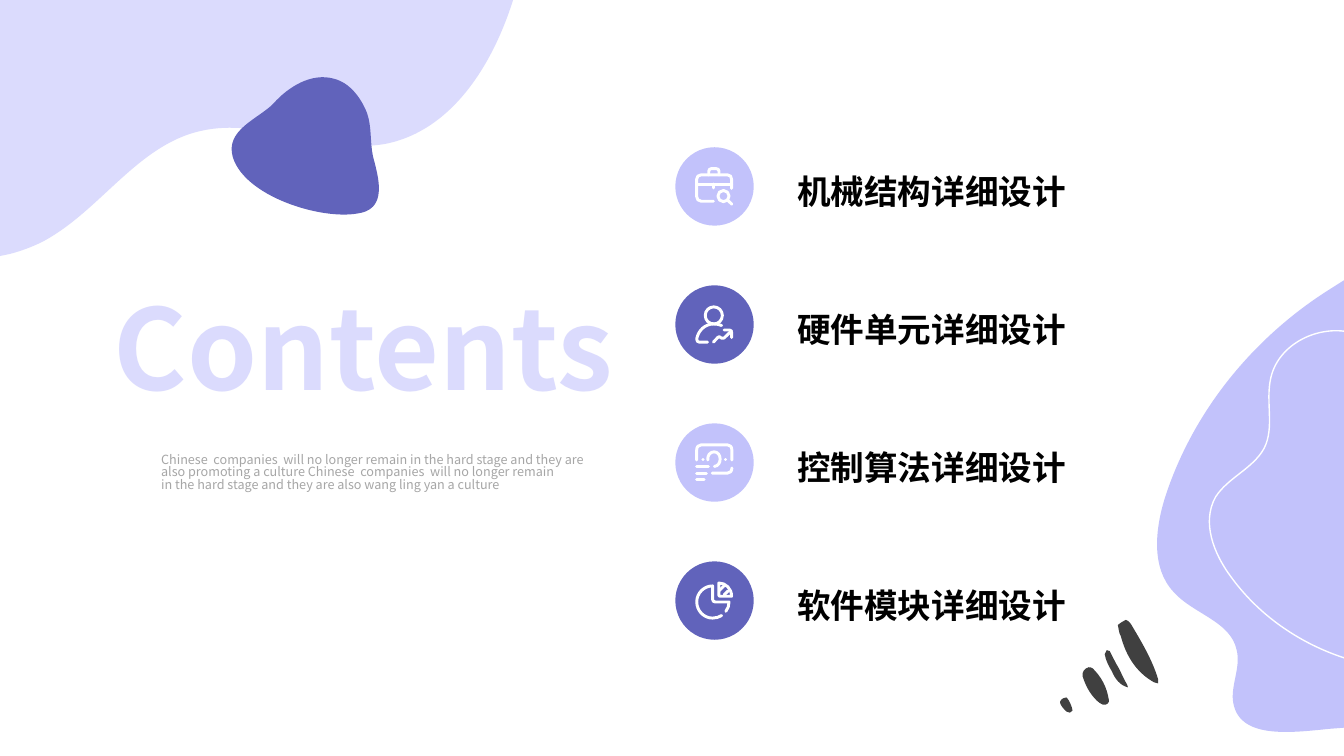
from lxml.etree import Element, SubElement
from pptx import Presentation
from pptx.dml.color import RGBColor
from pptx.enum.shapes import MSO_SHAPE as SHAPE
from pptx.enum.text import MSO_ANCHOR as ANCHOR, MSO_AUTO_SIZE as AUTO, PP_ALIGN as ALIGN
from pptx.oxml.ns import qn
from pptx.util import Pt

FONT = "Noto Sans CJK SC"
PALE, LILAC, VIOLET = "DBDBFD", "C2C2FB", "6163BB"
WHITE, BLACK, GREY, CHARCOAL = "FFFFFF", "000000", "A6A6A6", "404040"

# Outlines in points: M move, L line, C cubic curve, Z close
CORNER_BLOB = """M 0 0 L 366.5 0 L 365.8 2.2 C 350.6 49 321.1 94.3 274.3 103
    C 231.1 110.2 186.5 83.5 143.3 93.6 C 97.9 103.7 71.3 151.2 30.2 172.8
    C 23 176.4 15.1 179.3 7.2 181.4 L 0 182.9 Z"""
PEBBLE = """M 266.4 147.6 C 274.3 139 269.3 123.1 266.4 111.6
    C 264.2 101.5 265.7 90.7 262.1 80.6 C 257.8 69.8 249.8 59 238.3 56.2
    C 222.5 51.8 205.9 61.9 195.1 74.2 C 184.3 85 160.6 92.9 166.3 112.3
    C 175 140.4 229 157 254.9 152.6 C 259.9 151.9 263.5 150.5 266.4 147.6 Z"""
RIGHT_BLOB = """M 960 200.2 L 960 519.8 L 949.7 520.6
    C 921.6 523.4 883.4 528.5 880.6 499.7 C 879.8 488.2 886.3 475.9 883.4 464.4
    C 879.1 443.5 851.8 438.5 838.1 422.6 C 822.2 405.4 825.1 378 832.3 355
    C 851.8 295.2 892.8 244.1 945.4 209.5 Z"""
WAVY_LINE = """M 879.1 411.8 C 918 465.8 992.2 491 1056.2 472.3
    C 1069.9 468.7 1084.3 461.5 1087.9 447.8 C 1091.5 435.6 1084.3 419.8 1093.7 411.1
    C 1098.7 406.1 1106.6 405.4 1112.4 401 C 1130.4 386.6 1097.3 360.7 1092.2 348.5
    C 1087.9 337.7 1085.8 326.2 1087.9 314.6 C 1090.1 298.1 1100.2 280.8 1093 265.7
    C 1086.5 249.1 1066.3 244.1 1049 245.5 C 1031.8 246.2 1014.5 251.3 997.9 248.4
    C 986.4 245.5 976.3 239.8 965.5 237.6 C 941.8 231.8 913.7 245.5 907.9 269.3
    C 903.6 286.6 910.8 305.3 902.9 320.4 C 895 334.8 877 341.3 868.3 355
    C 858.2 373 866.9 395.3 879.1 411.8 Z"""
BRUSH_MARKS = [
    """M 798.5 446.4 C 800.6 445 802.1 443.5 804.2 442.8 C 805 442.8 807.1 444.2 807.8 445.7
    C 815 457.9 823 470.9 827.3 485.3 L 827.3 488.2 L 824.4 487.4
    C 811.4 480.2 804.2 468 800.6 454.3 C 799.2 452.2 799.2 449.3 798.5 446.4 Z""",
    """M 787.7 503.3 C 786.2 502.6 784.8 501.8 783.4 500.4
    C 778.3 495.4 775.4 489.6 773.3 483.1 C 772.6 480.2 774.7 477.4 777.6 476.6
    C 778.3 476.6 779.8 476.6 780.5 477.4 C 787 483.8 790.6 491 792 499.7
    C 792.7 501.8 790.6 504 787.7 503.3 Z""",
    """M 805.7 491 C 799.9 489.6 796.3 484.6 794.2 479.5 C 792 475.9 789.8 471.6 789.1 467.3
    L 790.6 464.4 L 792.7 465.1 C 794.9 469.4 797 473.8 799.2 477.4
    C 801.4 481.7 802.8 485.3 805 488.9 Z""",
    """M 766.1 507.6 C 765.4 509 763.2 509.8 761.8 508.3 C 760.3 506.9 758.2 504.7 757.4 502.6
    C 756.7 501.8 757.4 500.4 758.2 499.7 C 758.9 499 760.3 498.2 761.8 498.2
    C 763.2 499 766.1 505.4 766.1 507.6 Z""",
]

# Icon strokes, measured from the icon's top left corner
BRIEFCASE = """M 13 24.3 L 4.3 24.3 C 2.3 24.3 1 22.7 1 20.9 L 1 8.6 C 1 6.8 2.3 5.4 4.3 5.4
    L 23 5.4 C 24.9 5.4 26 6.8 26 8.6 L 26 15.1
    M 9.7 5.4 L 9.7 2.9 C 9.7 1.7 10.4 1 11.5 1 L 15.1 1 C 16.2 1 17 1.7 17 2.9 L 17 5.4
    M 1 12 L 26 12 M 13.4 12 L 13.4 14.8
    M 16.2 20.6 C 16.2 18.4 18 16.6 20.2 16.6 C 22.4 16.6 24.2 18.4 24.2 20.6
    C 24.2 22.8 22.4 24.6 20.2 24.6 C 18 24.6 16.2 22.8 16.2 20.6 Z M 23.2 23.6 L 26.2 26.4"""
PERSON = """M 7.2 7.2 C 7.2 3.8 9.9 1.1 13.3 1.1 C 16.7 1.1 19.4 3.8 19.4 7.2
    C 19.4 10.6 16.7 13.3 13.3 13.3 C 9.9 13.3 7.2 10.6 7.2 7.2 Z
    M 8.8 26.3 L 3 26.3 C 1.8 26.3 1 25.4 1.1 24 C 2.2 18 7 13.3 13.3 13.3
    C 15.3 13.3 17.2 13.7 18.9 14.4
    M 13 26.3 L 16.2 22.9 C 16.9 22.3 17.5 22.3 18.1 22.9 L 18.7 23.4
    C 19.3 24 20 24 20.6 23.4 L 26 18.2
    M 20.7 17.6 L 24.2 17.6 C 25.4 17.6 26 18.2 26 19.4 L 26 23"""
CERTIFICATE = """M 1 11.9 L 1 5 C 1 2.4 2.4 1.1 4.3 1.1 L 23 1.1 C 24.9 1.1 26.2 2.4 26.2 5
    L 26.2 11.9 M 26.2 17.6 C 26.2 19.9 24.9 21.3 23 21.3 L 12.2 21.3
    M 9 11.9 C 8.6 8.6 10.7 6.1 13.5 6.1 C 16.3 6.1 17.8 8.6 17.8 11.3
    C 17.8 14 16.3 16.2 13.7 16.5 M 21.5 11.5 L 21.7 11.5 M 5.4 11.5 L 5.6 11.5
    M 1 16.6 L 9.5 16.6 M 1 21.3 L 8 21.3 M 1 26.1 L 6.4 26.1"""
PIE = """M 21.9 21.4 C 23.4 19.5 24.2 17.2 24.2 14.7 L 14.4 14.7
    C 13.2 14.7 12.5 14 12.5 12.9 L 12.5 3.2 C 6.2 3.2 1.1 8.4 1.1 14.6
    C 1.1 21 6.2 26.2 12.4 26.2 C 14.9 26.2 17 25.5 18.9 24.4
    M 16.9 1.1 C 22 1.1 26 5.3 26 10.6 L 17.6 10.6 L 16.9 9.9 Z
    M 17.3 6.5 L 20.9 2.9 M 20.7 9.6 L 23.6 6.7"""

SECTIONS = [
    ("机械结构详细设计", LILAC, BRIEFCASE),
    ("硬件单元详细设计", VIOLET, PERSON),
    ("控制算法详细设计", LILAC, CERTIFICATE),
    ("软件模块详细设计", VIOLET, PIE),
]
BLURB = ("Chinese  companies  will no longer remain in the hard stage and they are also "
         "promoting a culture Chinese  companies  will no longer remain\n"
         "in the hard stage and they are also wang ling yan a culture")


def rgb(color):
    return RGBColor.from_string(color)


def paint(sp, fill=None, line=None, width=1):
    sp.shadow.inherit = False
    if fill:
        sp.fill.solid()
        sp.fill.fore_color.rgb = rgb(fill)
    else:
        sp.fill.background()
    if line:
        sp.line.color.rgb = rgb(line)
        sp.line.width = Pt(width)
        sp.line._get_or_add_ln().set("cap", "rnd")
    else:
        sp.line.fill.background()


def bend(sp, commands):
    """Join each three segments that belong to a C command into one cubic curve."""
    segments = iter(list(sp._element.iter(qn("a:lnTo"))))
    for command in commands:
        first = next(segments)
        if command == "C":
            cubic = Element(qn("a:cubicBezTo"))
            first.addprevious(cubic)
            for segment in (first, next(segments), next(segments)):
                cubic.append(segment[0])
                segment.getparent().remove(segment)


def add_outline(s, outline, left=0, top=0, **look):
    builder = None
    for part in outline.split("M")[1:]:
        nums = [float(n) for n in part.split() if n not in "LCZ"]
        points = [(Pt(x), Pt(y)) for x, y in zip(nums[::2], nums[1::2])]
        if builder is None:
            builder = s.shapes.build_freeform(*points[0], scale=1.0)
        else:
            builder.move_to(*points[0])
        builder.add_line_segments(points[1:], close="Z" in part)
    sp = builder.convert_to_shape(Pt(left), Pt(top))
    bend(sp, [c for c in outline if c in "LC"])
    paint(sp, **look)


def set_text(sp, box, text, size, color, bold=False, spacing=1.0):
    sp.left, sp.top, sp.width, sp.height = (Pt(v) for v in box)
    tf = sp.text_frame
    tf.text = text
    tf.word_wrap = True
    tf.auto_size = AUTO.NONE
    tf.vertical_anchor = ANCHOR.TOP
    for p in tf.paragraphs:
        p.alignment = ALIGN.LEFT
        p.line_spacing = spacing
        for r in p.runs:
            r.font.name, r.font.size, r.font.bold = FONT, Pt(size), bold
            r.font.color.rgb = rgb(color)
            SubElement(r._r.get_or_add_rPr(), qn("a:ea")).set("typeface", FONT)


def add_text(s, box, *args, **look):
    set_text(s.shapes.add_textbox(0, 0, 0, 0), box, *args, **look)


def add_section(s, top, label, color, icon):
    disc = s.shapes.add_shape(SHAPE.FLOWCHART_CONNECTOR, Pt(482.4), Pt(top), Pt(56), Pt(56))
    paint(disc, fill=color)
    add_outline(s, icon, 496.6, top + 14.3, line=WHITE, width=2.1)
    add_text(s, (562.3, top + 13, 228, 36), label, 24, BLACK, bold=True)


def main():
    prs = Presentation()
    prs.slide_width, prs.slide_height = Pt(960), Pt(540)
    s = prs.slides.add_slide(prs.slide_layouts[5])

    # Background decoration
    add_outline(s, CORNER_BLOB, fill=PALE)
    add_outline(s, PEBBLE, fill=VIOLET)
    add_outline(s, RIGHT_BLOB, fill=LILAC)
    add_outline(s, WAVY_LINE, line=WHITE)
    for mark in BRUSH_MARKS:
        add_outline(s, mark, fill=CHARCOAL)

    # Title and blurb
    set_text(s.shapes.title, (74.2, 195, 385, 123), "Contents", 80, PALE, bold=True)
    add_text(s, (108, 321.1, 322, 40.3), BLURB, 9, GREY, spacing=0.82)

    # Four sections at an equal pitch
    for i, section in enumerate(SECTIONS):
        add_section(s, 105.2 + 98.6 * i, *section)

    prs.save("out.pptx")


if __name__ == "__main__":
    main()
